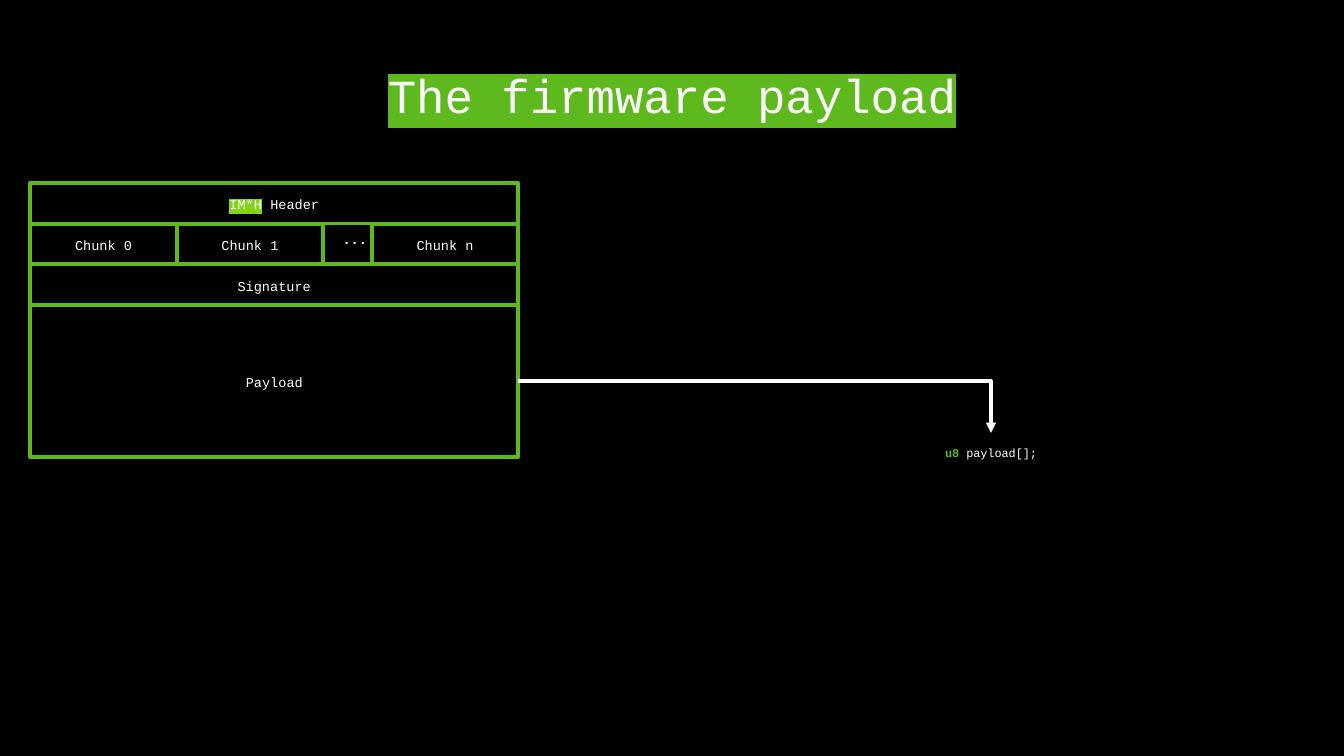
from dataclasses import dataclass

from lxml import etree
from pptx import Presentation
from pptx.dml.color import RGBColor
from pptx.enum.shapes import MSO_CONNECTOR, MSO_SHAPE
from pptx.enum.text import MSO_ANCHOR, PP_ALIGN
from pptx.oxml.ns import qn
from pptx.util import Inches, Pt

RECT = MSO_SHAPE.RECTANGLE
ELBOW = MSO_CONNECTOR.ELBOW
CENTER = PP_ALIGN.CENTER
MIDDLE = MSO_ANCHOR.MIDDLE

WIDE, HIGH = 11.02, 6.2
LEFT, TOP = 0.25, 1.5  # corner of the diagram
COL, ROW = 0.4, 1 / 3  # its grid, in inches
FONT = "Courier New"
BLACK, WHITE, GREEN, LIME = "000000", "FFFFFF", "5EB91E", "81D41A"


@dataclass
class Run:
    text: str
    size: float = 8
    color: str = WHITE
    bold: bool = False
    mark: str = ""  # highlight colour


@dataclass
class Box:
    """A place on the grid, in columns and rows, with its text."""
    col: float
    row: float
    cols: float
    rows: float
    runs: list[Run]
    framed: bool = True


HEAD = Box(0, 0, 10, 1, [Run("IM*H", mark=LIME), Run(" Header")])
CHUNKS = [Box(col, 1, 3, 1, [Run(f"Chunk {name}")])
          for col, name in ((0, "0"), (3, "1"), (7, "n"))]
DOTS = Box(6.15, 0.88, 1, 1, [Run("...", bold=True)], framed=False)
SIGN = Box(0, 2, 10, 1, [Run("Signature")])
LOAD = Box(0, 3, 10, 3.75, [Run("Payload")])
CODE = Box(13.12, 6.15, 13.14, 1,
           [Run("u8 ", 7, GREEN, True), Run("payload[];", 7)], framed=False)


def rgb(color: str) -> RGBColor:
    return RGBColor.from_string(color)


def at_col(col: float) -> int:
    return Inches(LEFT + col * COL)


def at_row(row: float) -> int:
    return Inches(TOP + row * ROW)


def write(shape, runs: list[Run], space: float = 1) -> None:
    frame = shape.text_frame
    frame.word_wrap = True
    frame.vertical_anchor = MIDDLE
    frame.margin_left = frame.margin_right = 0
    frame.margin_top = frame.margin_bottom = 0
    para = frame.paragraphs[0]
    para.alignment = CENTER
    para.line_spacing = space
    for item in runs:
        run = para.add_run()
        run.text = item.text
        font = run.font
        font.size, font.bold, font.name = Pt(item.size), item.bold, FONT
        font.color.rgb = rgb(item.color)
        if item.mark:
            mark = etree.Element(qn("a:highlight"))
            etree.SubElement(mark, qn("a:srgbClr"), val=item.mark)
            run.font._element.find(qn("a:solidFill")).addnext(mark)


def stroke(line, color: str, width: float):
    """Style a line with round joins and return its XML."""
    line.color.rgb = rgb(color)
    line.width = Pt(width)
    node = line._get_or_add_ln()
    etree.SubElement(node, qn("a:round"))
    return node


def draw(slide, box: Box) -> None:
    place = (at_col(box.col), at_row(box.row),
             Inches(box.cols * COL), Inches(box.rows * ROW))
    if box.framed:
        shape = slide.shapes.add_shape(RECT, *place)
        shape.shadow.inherit = False
        shape.fill.background()
        stroke(shape.line, GREEN, 2.3)
        write(shape, box.runs, 1.15)
    else:
        write(slide.shapes.add_textbox(*place), box.runs)


def link(slide, start: Box, end: Box) -> None:
    """Run an arrow from the right side of one box to the top of another."""
    arrow = slide.shapes.add_connector(
        ELBOW,
        at_col(start.col + start.cols), at_row(start.row + start.rows / 2),
        at_col(end.col + end.cols / 2), at_row(end.row))
    node = stroke(arrow.line, WHITE, 2)
    etree.SubElement(node, qn("a:tailEnd"), type="triangle")
    props = arrow._element.spPr
    props.find(qn("a:prstGeom")).set("prst", "bentConnector2")
    etree.SubElement(props, qn("a:effectLst"))


def main() -> None:
    deck = Presentation()
    deck.slide_width, deck.slide_height = Inches(WIDE), Inches(HIGH)
    slide = deck.slides.add_slide(deck.slide_layouts[6])
    back = slide.background.fill
    back.solid()
    back.fore_color.rgb = rgb(BLACK)
    title = slide.shapes.add_textbox(
        Inches(WIDE * 0.05), Inches(HIGH * 0.04),
        Inches(WIDE * 0.9), Inches(HIGH * 0.17))
    write(title, [Run("The firmware payload", 28, mark=GREEN)])
    for box in (HEAD, *CHUNKS, DOTS, SIGN, LOAD, CODE):
        draw(slide, box)
    link(slide, LOAD, CODE)
    deck.save("out.pptx")


if __name__ == "__main__":
    main()
